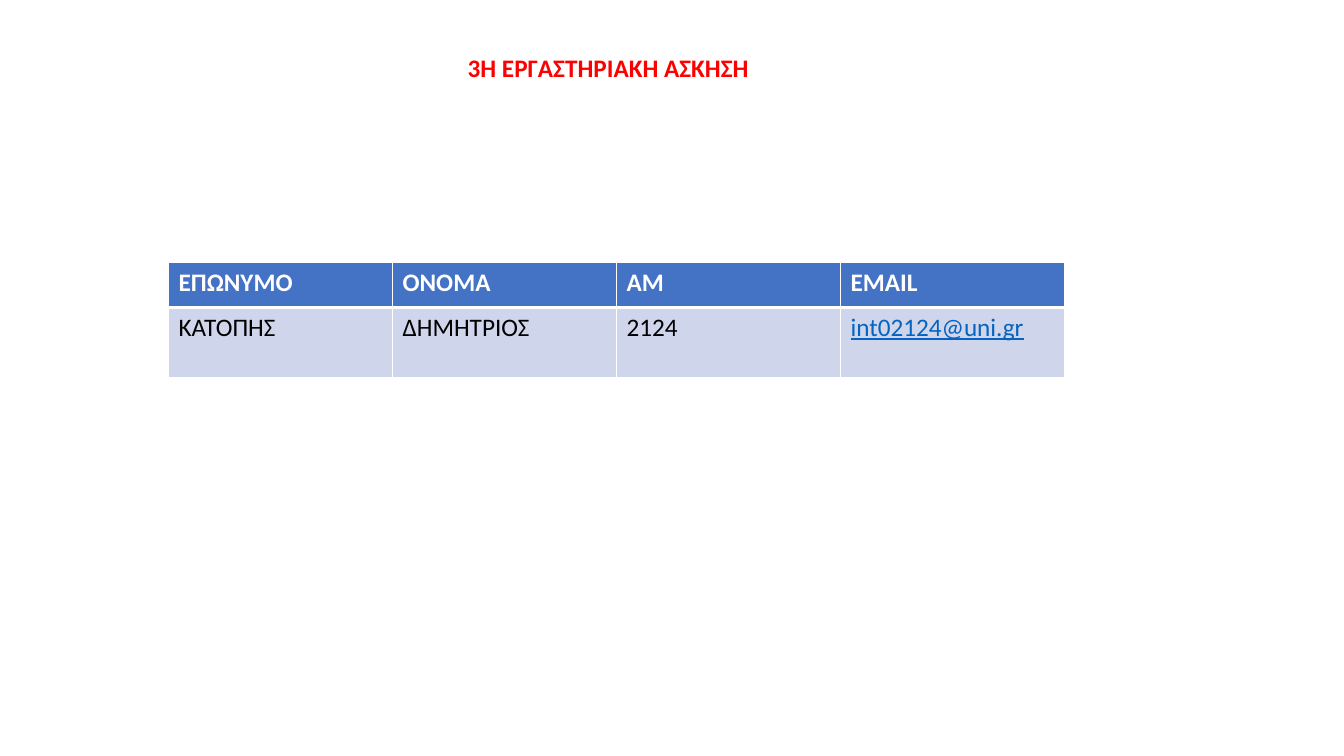
from lxml import etree
from pptx import Presentation
from pptx.dml.color import RGBColor
from pptx.enum import text
from pptx.oxml import ns
from pptx.util import Pt

HEADS = ["ΕΠΩΝΥΜΟ", "ΟΝΟΜΑ", "ΑΜ", "EMAIL"]
STUDENT = ["ΚΑΤΟΠΗΣ", "ΔΗΜΗΤΡΙΟΣ", "2124", "int02124@uni.gr"]


def paint(target, color):
    target.rgb = RGBColor.from_string(color)


def style(frame, color, bold=False, under=None):
    for run in frame.paragraphs[0].runs:
        font = run.font
        font.name, font.size = "Calibri", Pt(18)
        font.bold, font.underline = bold, under
        paint(font.color, color)


def border(cell, top, bottom):
    props = cell._tc.get_or_add_tcPr()
    sides = [("L", 1), ("R", 1), ("T", top), ("B", bottom)]
    for spot, (side, width) in enumerate(sides):
        line = etree.Element(ns.qn("a:ln" + side), w=str(Pt(width)))
        fill = etree.SubElement(line, ns.qn("a:solidFill"))
        etree.SubElement(fill, ns.qn("a:srgbClr"), val="FFFFFF")
        props.insert(spot, line)


def add_title(slide, left, top, width, height):
    box = slide.shapes.add_textbox(Pt(left), Pt(top), Pt(width), Pt(height))
    frame = box.text_frame
    frame.text = "3Η ΕΡΓΑΣΤΗΡΙΑΚΗ ΑΣΚΗΣΗ"
    frame.word_wrap = True
    frame.auto_size = text.MSO_AUTO_SIZE.SHAPE_TO_FIT_TEXT
    style(frame, "FF0000", True)


def add_roster(slide, left, top, width, height):
    rows = [HEADS, STUDENT]
    table = slide.shapes.add_table(
        len(rows), len(HEADS), Pt(left), Pt(top), Pt(width), Pt(height)
    ).table
    table.rows[0].height = Pt(32.4)
    table.rows[1].height = Pt(height - 32.4)
    for r, row in enumerate(rows):
        head = r == 0
        for c, word in enumerate(row):
            cell = table.cell(r, c)
            cell.text_frame.text = word
            cell.fill.solid()
            paint(cell.fill.fore_color, "4472C4" if head else "CFD5EA")
            border(cell, 1 if head else 3, 3 if head else 1)
            if head:
                style(cell.text_frame, "FFFFFF", True)
            elif "@" in word:
                style(cell.text_frame, "0563C1", under=True)
            else:
                style(cell.text_frame, "000000")


deck = Presentation()
deck.slide_width, deck.slide_height = Pt(960), Pt(540)
slide = deck.slides.add_slide(deck.slide_layouts[6])
add_roster(slide, 120.4, 187.2, 640, 82.8)
add_title(slide, 327, 34, 465, 29)
deck.save("out.pptx")
